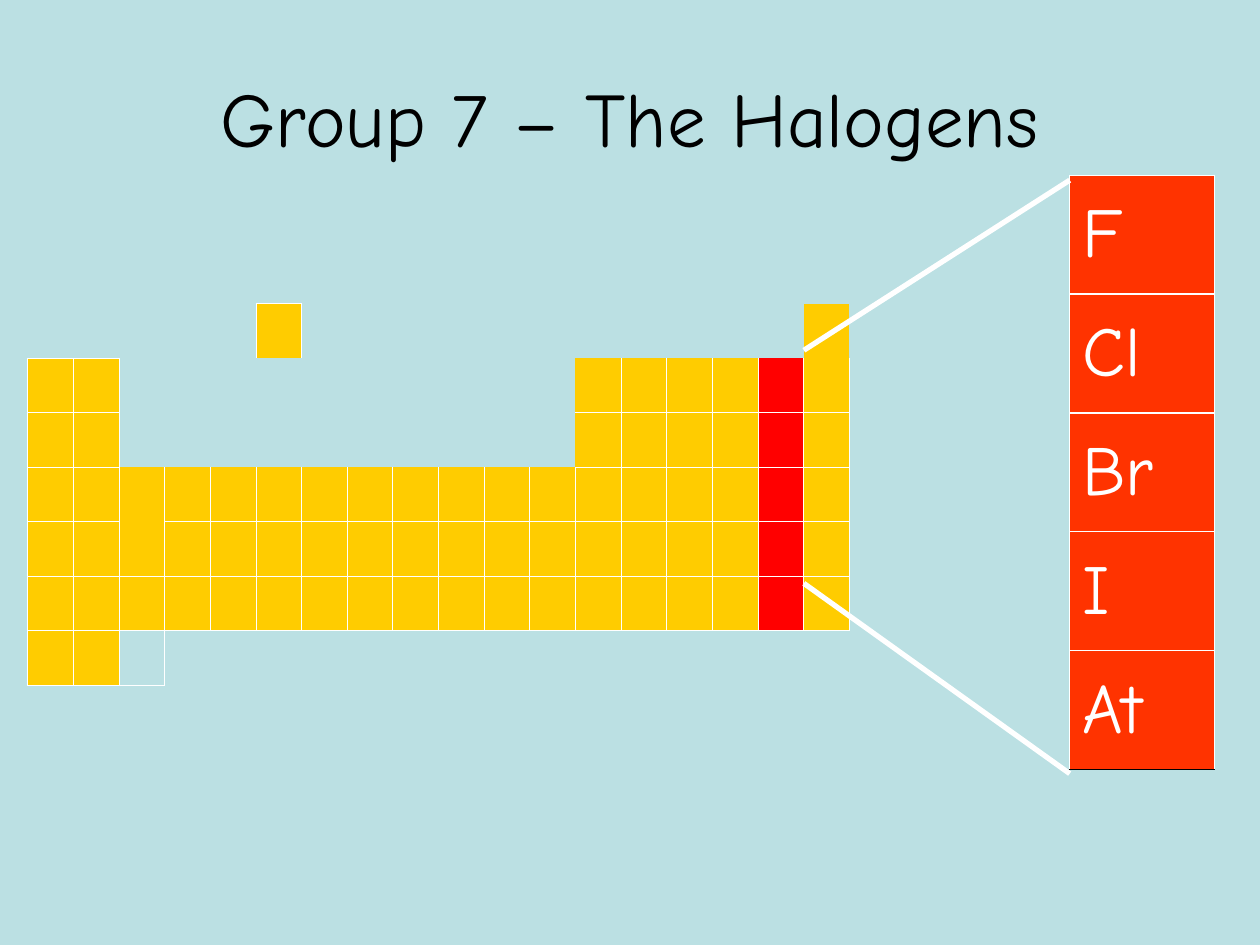
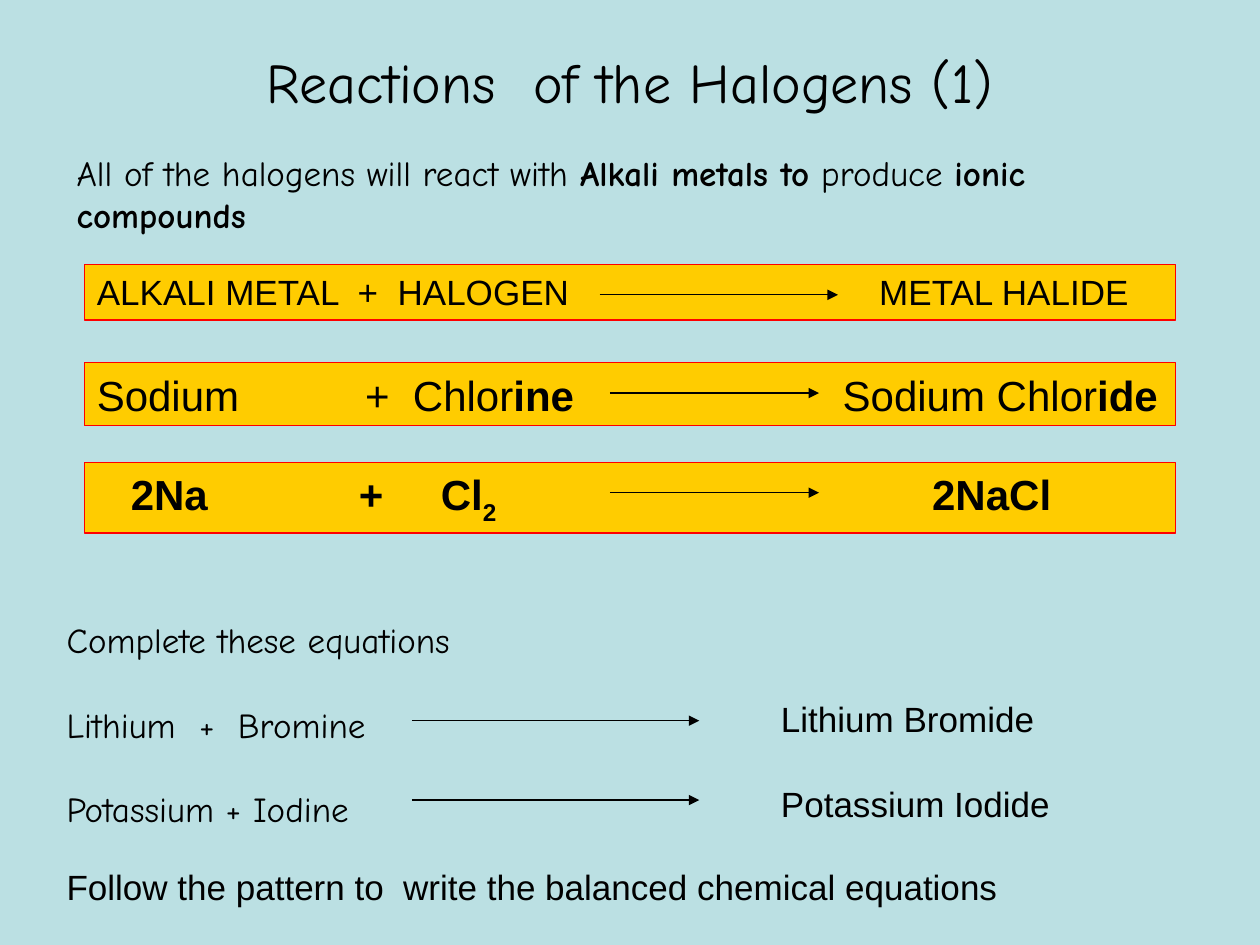
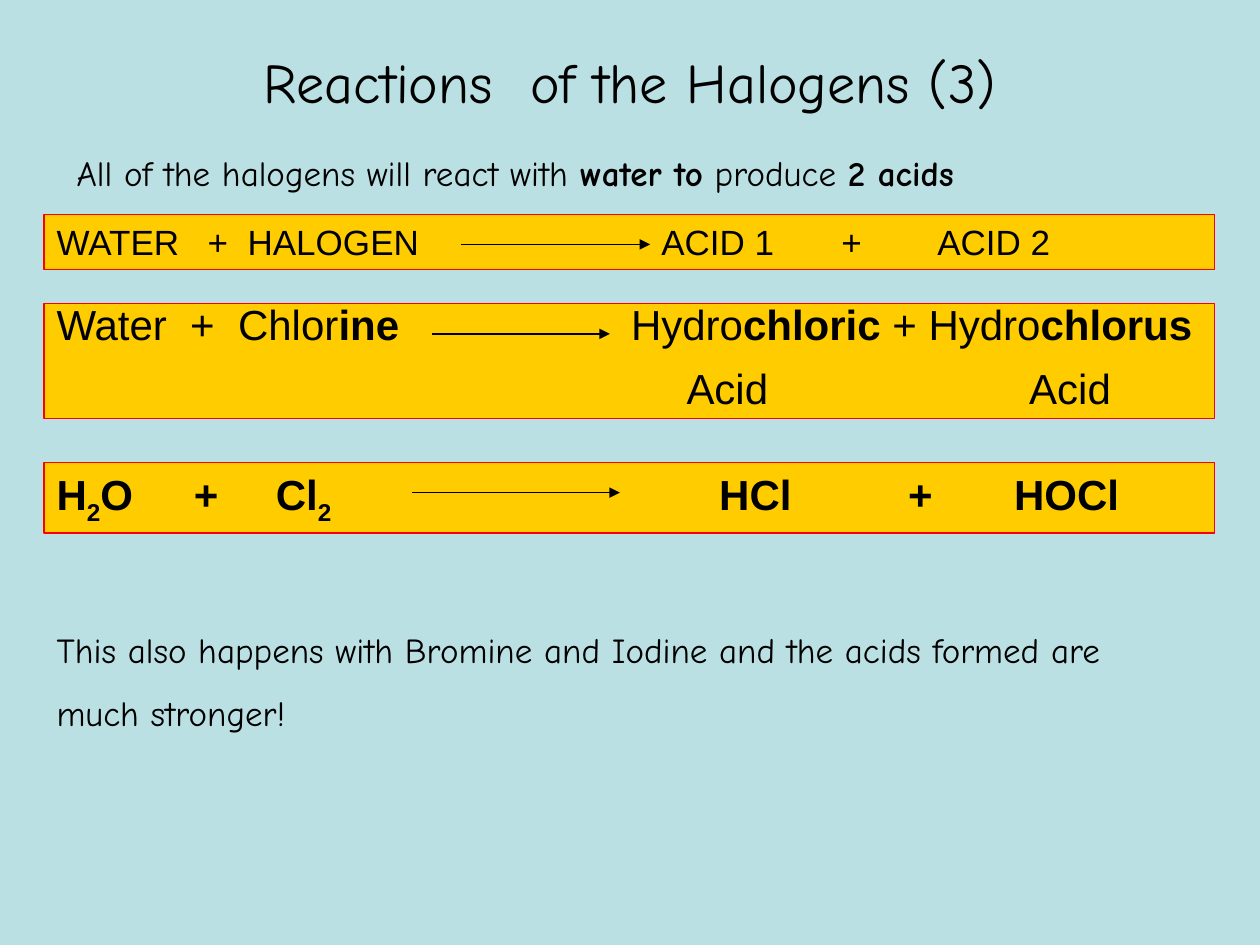
from dataclasses import dataclass

from lxml import etree
from pptx import Presentation
from pptx.dml.color import RGBColor
from pptx.enum.shapes import MSO_CONNECTOR, MSO_SHAPE
from pptx.enum.text import MSO_ANCHOR, PP_ALIGN
from pptx.oxml.ns import qn
from pptx.util import Inches, Pt

STRAIGHT = MSO_CONNECTOR.STRAIGHT
RECT = MSO_SHAPE.RECTANGLE
MIDDLE = MSO_ANCHOR.MIDDLE
CENTER = PP_ALIGN.CENTER
NO_STYLE = "{2D5ABB26-0587-4C30-8999-92F81FD0307C}"


@dataclass(frozen=True)
class Theme:
    back: str = "BBE0E3"
    gold: str = "FFCC00"
    red: str = "FF0000"
    flame: str = "FF3300"
    white: str = "FFFFFF"
    black: str = "000000"
    hand: str = "Comic Neue"
    sans: str = "Arial"
    cover: int = 44
    symbol: int = 40
    title: int = 32
    large: int = 24
    body: int = 20
    hair: float = 0.45
    thin: float = 0.75
    thick: float = 3


T = Theme()

# Sides drawn around each kind of cell in the periodic table
SIDES = {"a": "LRTB", "u": "LRB", "d": "LRT", "m": "LR", "r": "RTB", "v": "RB",
         "l": "LTB", "g": "LTB", "h": "LT", "n": "", ".": ""}
PERIODS = [
    ".....h...........n",
    "aa..........vuuuuu",
    "al..........raaaaa",
    "aamuuuuuuuuuaaaaaa",
    "aauaaaaaaaaaaaaaaa",
    "aaaddddddddddddddd",
    "aag...............",
]
HALOGEN_COL = 16
HALOGENS = ["F", "Cl", "Br", "I", "At"]


def rgb(code):
    return RGBColor.from_string(code)


def put(item, **values):
    for name, value in values.items():
        setattr(item, name, value)


def write(frame, paras, size, face, color=T.black, tabs=(), **form):
    """Fill a frame; a run is text or (text, mark), b for bold and s for bold subscript."""
    frame.word_wrap = True
    for i, runs in enumerate(paras):
        para = frame.add_paragraph() if i else frame.paragraphs[0]
        put(para, **form)
        if tabs:
            stops = etree.SubElement(para._p.get_or_add_pPr(), qn("a:tabLst"))
            for stop in tabs[i]:
                etree.SubElement(stops, qn("a:tab"), pos=str(Inches(stop)), algn="l")
        for part in runs:
            text, mark = (part, "") if isinstance(part, str) else part
            run = para.add_run()
            run.text = text
            put(run.font, size=Pt(size), name=face, bold=mark != "")
            run.font.color.rgb = rgb(color)
            if mark == "s":
                run._r.get_or_add_rPr().set("baseline", "-25000")


def label(slide, box, paras, face=T.hand, size=T.body, **form):
    shape = slide.shapes.add_textbox(*map(Inches, box))
    form = {"space_before": Pt(size * 0.625), **form}
    write(shape.text_frame, paras, size, face, **form)
    return shape


def head(slide, text, size, height):
    shape = label(slide, (0.5, 0.3, 9, height), [[text]], size=size,
                  alignment=CENTER, space_before=Pt(0))
    shape.text_frame.vertical_anchor = MIDDLE


def link(slide, start, end, color=T.black, width=T.thin, arrow=True):
    line = slide.shapes.add_connector(STRAIGHT, *map(Inches, (*start, *end)))
    line.line.color.rgb = rgb(color)
    line.line.width = Pt(width)
    if arrow:
        etree.SubElement(line.line._get_or_add_ln(), qn("a:tailEnd"), type="triangle")
    etree.SubElement(line._element.spPr, qn("a:effectLst"))


def grid(slide, box, rows, cols):
    """Add a plain table with equal rows and columns."""
    table = slide.shapes.add_table(rows, cols, *map(Inches, box)).table
    table._tbl.tblPr.find(qn("a:tableStyleId")).text = NO_STYLE
    put(table, first_row=False, horz_banding=False)
    for col in table.columns:
        col.width = Inches(box[2] / cols)
    for row in table.rows:
        row.height = Inches(box[3] / rows)
    return table


def paint(cell, fill, edges):
    """Set a cell's fill and edges, given as {side: (colour, width)} in the order L R T B."""
    props = cell._tc.get_or_add_tcPr()
    for side, (color, width) in edges.items():
        line = etree.SubElement(props, qn("a:ln" + side), w=str(Pt(width)))
        solid = etree.SubElement(line, qn("a:solidFill"))
        etree.SubElement(solid, qn("a:srgbClr"), val=color)
    cell.fill.solid()
    cell.fill.fore_color.rgb = rgb(fill)


def periodic(slide, box):
    table = grid(slide, box, len(PERIODS), len(PERIODS[0]))
    for r, period in enumerate(PERIODS):
        for c, kind in enumerate(period):
            full = T.red if c == HALOGEN_COL else T.gold
            fill = T.back if kind in ".g" else full
            edges = {side: (T.white, T.hair) for side in SIDES[kind]}
            paint(table.cell(r, c), fill, edges)


def group(slide, box):
    table = grid(slide, box, len(HALOGENS), 1)
    for r, symbol in enumerate(HALOGENS):
        cell = table.cell(r, 0)
        edges = dict.fromkeys("LRTB", (T.white, T.thin))
        if symbol == HALOGENS[-1]:
            edges["B"] = (T.black, T.hair)
        paint(cell, T.flame, edges)
        cell.vertical_anchor = MIDDLE
        write(cell.text_frame, [[symbol]], T.symbol, T.hand, T.white, space_before=Pt(10))


def band(slide, box, paras, tabs, span, size=T.large, **form):
    """Draw a boxed equation with its arrow; span gives the arrow's ends from the left."""
    left, top = box[:2]
    shape = slide.shapes.add_shape(RECT, *map(Inches, box))
    shape.shadow.inherit = False
    shape.fill.solid()
    shape.fill.fore_color.rgb = rgb(T.gold)
    shape.line.color.rgb = rgb(T.red)
    shape.line.width = Pt(T.thin)
    shape.text_frame.vertical_anchor = MSO_ANCHOR.TOP
    write(shape.text_frame, paras, size, T.sans, tabs=tabs, alignment=PP_ALIGN.LEFT,
          space_before=Pt(size * 0.625), **form)
    start, end = ((left + x, top + 0.24) for x in span)
    link(slide, start, end)


def tasks(slide, box):
    left, top = box[:2]
    label(slide, box, [["Complete these equations"], ["Lithium  +  Bromine"],
                       ["Potassium + Iodine"]], line_spacing=1.5)
    for drop in (1.03, 1.66):
        link(slide, (left + 2.84, top + drop), (left + 5.12, top + drop))
    label(slide, (left + 5.67, top + 0.63, 2.76, 1.28),
          [["Lithium Bromide"], ["Potassium Iodide"]], T.sans, line_spacing=1.5)
    label(slide, (left, top + 2.13, 9.21, 0.44),
          [["Follow the pattern to  write the balanced chemical equations"]], T.sans)


def intro(slide, number, height, reagent, product):
    head(slide, f"Reactions  of the Halogens ({number})", T.title, 0.69)
    label(slide, (0.51, 1.15, 8.98, height),
          [["All of the halogens will react with ", (reagent, "b"),
            " produce ", (product, "b")]])


def cover(slide):
    head(slide, "Group 7 – The Halogens", T.cover, 1.25)
    periodic(slide, (0.22, 2.41, 6.52, 3.03))
    group(slide, (8.49, 1.39, 1.15, 4.72))
    for near, far in ((2.78, 1.43), (4.63, 6.14)):
        link(slide, (6.38, near), (8.49, far), T.white, T.thick, arrow=False)


def metals(slide):
    left, width = 0.67, 8.66
    intro(slide, 1, 0.77, "Alkali metals to", "ionic compounds")
    band(slide, (left, 2.1, width, 0.44),
         [["ALKALI METAL  +  HALOGEN\tMETAL HALIDE"]],
         [[6.21]], (4.09, 5.98), T.body)
    band(slide, (left, 2.88, width, 0.5),
         [["Sodium\t+  Chlor", ("ine", "b"), "\tSodium Chlor", ("ide", "b")]],
         [[2.13, 5.92]], (4.17, 5.83))
    band(slide, (left, 3.67, width, 0.56),
         [[("\t2Na\t+\tCl", "b"), ("2", "s"), ("\t2NaCl", "b")]],
         [[0.27, 2.08, 2.73, 6.63]], (4.17, 5.83))
    tasks(slide, (0.43, 4.69, 6.06, 1.95))


def water(slide):
    left, width = 0.35, 9.29
    intro(slide, 3, 0.44, "water to", "2 acids")
    band(slide, (left, 1.7, width, 0.44),
         [["WATER\t+  HALOGEN\tACID 1\t+\tACID 2"]],
         [[1.2, 4.8, 6.23, 6.99]], (3.31, 4.81), T.body)
    band(slide, (left, 2.41, width, 0.91),
         [["Water  +  Chlor", ("ine", "b"), "\tHydro", ("chloric", "b"),
           " + Hydro", ("chlorus", "b")], ["\tAcid\tAcid"]],
         [[4.56], [5, 7.72]], (3.08, 4.49), line_spacing=0.75)
    band(slide, (left, 3.67, width, 0.56),
         [[("H", "b"), ("2", "s"), ("O\t+\tCl", "b"), ("2", "s"),
           ("\tHCl\t+\tHOCl", "b")]],
         [[1.09, 1.74, 5.26, 6.76, 7.6]], (2.92, 4.57))
    label(slide, (left, 4.77, 9.21, 1.1),
          [["This also happens with Bromine and Iodine and the acids formed "
            "are much stronger!"]], line_spacing=1.5)


def main():
    deck = Presentation()
    put(deck, slide_width=Inches(10), slide_height=Inches(7.5))
    fill = deck.slide_master.background.fill
    fill.solid()
    fill.fore_color.rgb = rgb(T.back)
    for build in (cover, metals, water):
        build(deck.slides.add_slide(deck.slide_layouts[6]))
    deck.save("out.pptx")


if __name__ == "__main__":
    main()
